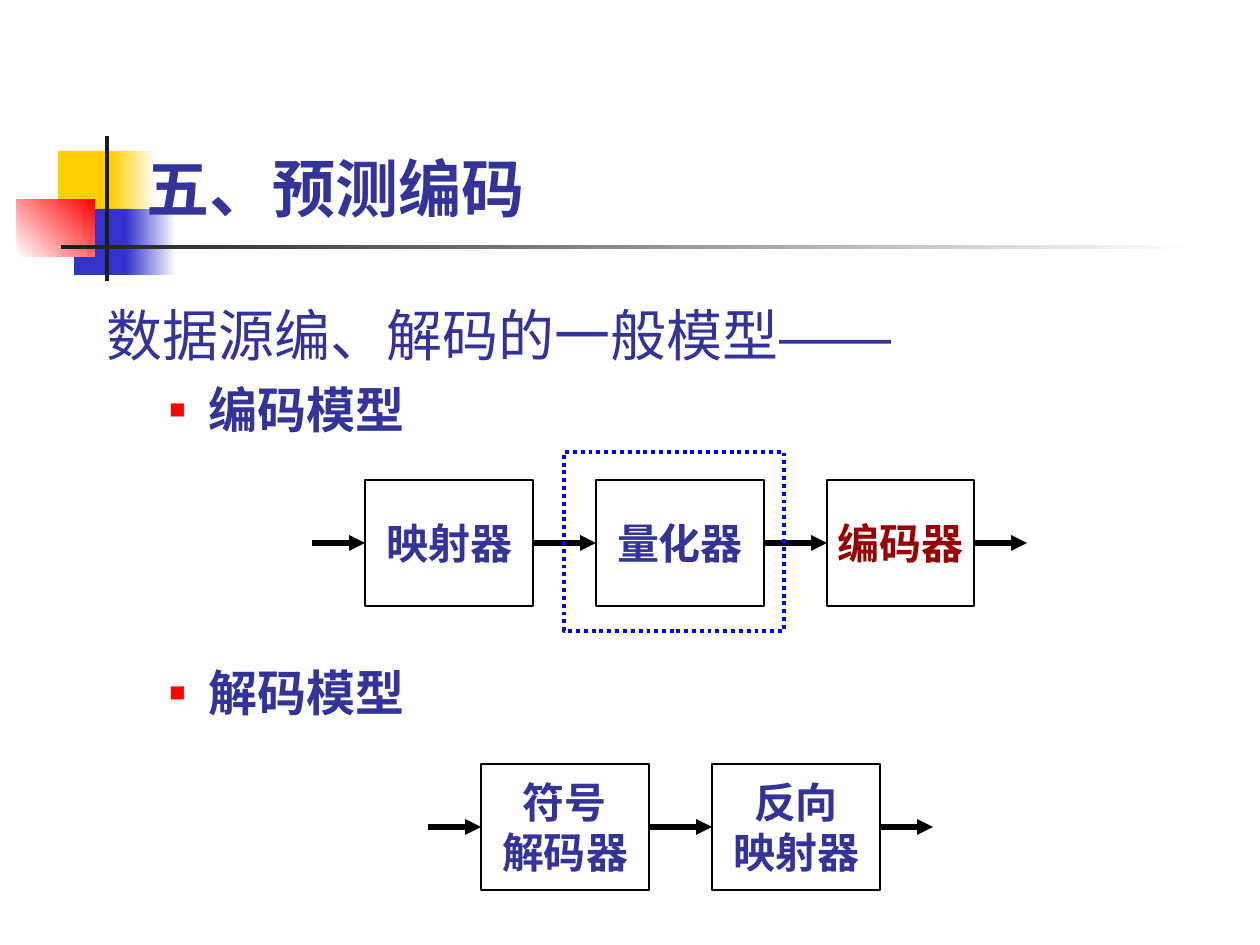
"""Build the slide on the general encoding and decoding model of predictive coding."""
import pptx
import pptx.dml.color
import pptx.enum.dml
import pptx.enum.shapes
import pptx.enum.text
import pptx.oxml
import pptx.oxml.ns
import pptx.util
from dataclasses import dataclass

PX = 914400 // 126


@dataclass(frozen=True)
class Theme:
    ink: str = "333399"
    accent: str = "990000"
    bullet: str = "FF0000"
    focus: str = "0000FF"
    line: str = "000000"
    yellow: str = "FFCF01"
    blue: str = "3333CC"
    red: str = "FF0000"
    dark: str = "1C1C1C"
    white: str = "FFFFFF"
    title_size: int = 36
    lead_size: int = 32
    item_size: int = 28
    box_size: int = 24
    title_font: str = "Noto Sans CJK SC"
    body_font: str = "Cabin"
    box_font: str = "Times New Roman"
    dash_font: str = "Arial"


THEME = Theme()
TITLE = "五、预测编码"
LEAD, DASH = "数据源编、解码的一般模型", "——"
ITEMS = [("编码模型", 7), ("解码模型", 128)]
ROWS = [
    (365, 480, [("映射器", 168, THEME.ink), ("量化器", 168, THEME.ink), ("编码器", 147, THEME.accent)]),
    (481, 764, [("符号\n解码器", 168, THEME.ink), ("反向\n映射器", 168, THEME.ink)]),
]
BOX_HEIGHT, GAP, STUB = 126, 63, 53
FOCUS = (564, 452, 220, 179)
ORNAMENT = [
    ((58, 151, 60, 66), [THEME.yellow], 0),
    ((111, 151, 45, 66), [THEME.yellow, THEME.white], 0),
    ((74, 209, 58, 66), [THEME.blue], 0),
    ((126, 209, 50, 66), [THEME.blue, THEME.white], 0),
    ((17, 199, 78, 58), [THEME.white, THEME.red], 45),
    ((105, 136, 4, 145), [THEME.dark], 0),
    ((61, 245, 1134, 4), [THEME.dark, THEME.white], 0),
]


def rgb(code):
    return pptx.dml.color.RGBColor.from_string(code)


def emu(*lengths):
    return [pptx.util.Emu(length * PX) for length in lengths]


def add_xml(parent, tag, inner="", **attributes):
    listed = " ".join(f'{key}="{value}"' for key, value in attributes.items())
    parent.append(pptx.oxml.parse_xml(
        f'<a:{tag} {pptx.oxml.ns.nsdecls("a")} {listed}>{inner}</a:{tag}>'))


def set_font(paragraph, size, color, latin, east_asian, bold):
    font = paragraph.font
    font.size, font.bold, font.name = pptx.util.Pt(size), bold, latin
    font.color.rgb = rgb(color)
    add_xml(paragraph._p.pPr.find(pptx.oxml.ns.qn("a:defRPr")), "ea", typeface=east_asian)


def add_rect(slide, place):
    rect = slide.shapes.add_shape(pptx.enum.shapes.MSO_SHAPE.RECTANGLE, *emu(*place))
    rect.shadow.inherit = False
    return rect


def add_ornament(slide):
    for place, colors, angle in ORNAMENT:
        block = add_rect(slide, place)
        block.line.fill.background()
        if len(colors) == 1:
            block.fill.solid()
            block.fill.fore_color.rgb = rgb(colors[0])
            continue
        block.fill.gradient()
        block.fill.gradient_angle = angle
        for stop, color in zip(block.fill.gradient_stops, colors):
            stop.color.rgb = rgb(color)


def add_outline(slide, place, color, width):
    outline = add_rect(slide, place)
    outline.fill.background()
    outline.line.color.rgb = rgb(color)
    outline.line.width = pptx.util.Pt(width)
    return outline


def add_stage(slide, place, label, color):
    stage = add_outline(slide, place, THEME.line, 0.75)
    frame = stage.text_frame
    frame.word_wrap = False
    frame.vertical_anchor = pptx.enum.text.MSO_ANCHOR.MIDDLE
    frame.text = label
    for paragraph in frame.paragraphs:
        paragraph.alignment = pptx.enum.text.PP_ALIGN.CENTER
        set_font(paragraph, THEME.box_size, color, THEME.box_font, THEME.body_font, True)
    return stage


def add_arrow(slide, start, end, y, source, target):
    arrow = slide.shapes.add_connector(
        pptx.enum.shapes.MSO_CONNECTOR.STRAIGHT, *emu(start, y, end, y))
    if source is not None:
        arrow.begin_connect(source, 3)
    if target is not None:
        arrow.end_connect(target, 1)
    arrow.line.color.rgb = rgb(THEME.line)
    arrow.line.width = pptx.util.Pt(3)
    add_xml(arrow.line._get_or_add_ln(), "tailEnd", type="triangle")
    add_xml(arrow._element.spPr, "effectLst")


def add_row(slide, left, top, labels):
    stages, spans, x = [], [], left
    start = left - STUB
    for label, width, color in labels:
        stages.append(add_stage(slide, (x, top, width, BOX_HEIGHT), label, color))
        spans.append((start, x))
        start = x + width
        x = start + GAP
    spans.append((start, start + STUB))
    for (begin, end), source, target in zip(spans, [None] + stages, stages + [None]):
        add_arrow(slide, begin, end, top + BOX_HEIGHT // 2, source, target)


def add_text(slide, place):
    frame = slide.shapes.add_textbox(*emu(*place)).text_frame
    frame.word_wrap = True
    return frame


def add_body(slide):
    body = add_text(slide, (94, 294, 945, 436))
    lead = body.paragraphs[0]
    lead.add_run().text = LEAD
    dash = lead.add_run()
    dash.text = DASH
    dash.font.name = THEME.dash_font
    add_xml(dash.font._element, "ea", typeface=THEME.dash_font)
    set_font(lead, THEME.lead_size, THEME.ink, THEME.body_font, THEME.body_font, False)
    for label, space in ITEMS:
        item = body.add_paragraph()
        item.text, item.level = label, 1
        item.space_before = pptx.util.Pt(space)
        layout = item._p.get_or_add_pPr()
        layout.set("marL", str(102 * PX))
        layout.set("indent", str(-39 * PX))
        add_xml(layout, "buClr", f'<a:srgbClr val="{THEME.bullet}"/>')
        add_xml(layout, "buSzPct", val=55000)
        add_xml(layout, "buFont", typeface=THEME.dash_font)
        add_xml(layout, "buChar", char="■")
        set_font(item, THEME.item_size, THEME.ink, THEME.body_font, THEME.body_font, True)


def add_title(slide):
    title = add_text(slide, (134, 135, 1074, 96))
    title.vertical_anchor = pptx.enum.text.MSO_ANCHOR.BOTTOM
    title.text = TITLE
    set_font(title.paragraphs[0], THEME.title_size, THEME.ink,
             THEME.title_font, THEME.title_font, True)


def main():
    deck = pptx.Presentation()
    deck.slide_width, deck.slide_height = emu(1260, 945)
    slide = deck.slides.add_slide(deck.slide_layouts[6])
    add_ornament(slide)
    add_body(slide)
    for left, top, labels in ROWS:
        add_row(slide, left, top, labels)
    focus = add_outline(slide, FOCUS, THEME.focus, 2.25)
    focus.line.dash_style = pptx.enum.dml.MSO_LINE.ROUND_DOT
    add_title(slide)
    deck.save("out.pptx")


if __name__ == "__main__":
    main()
